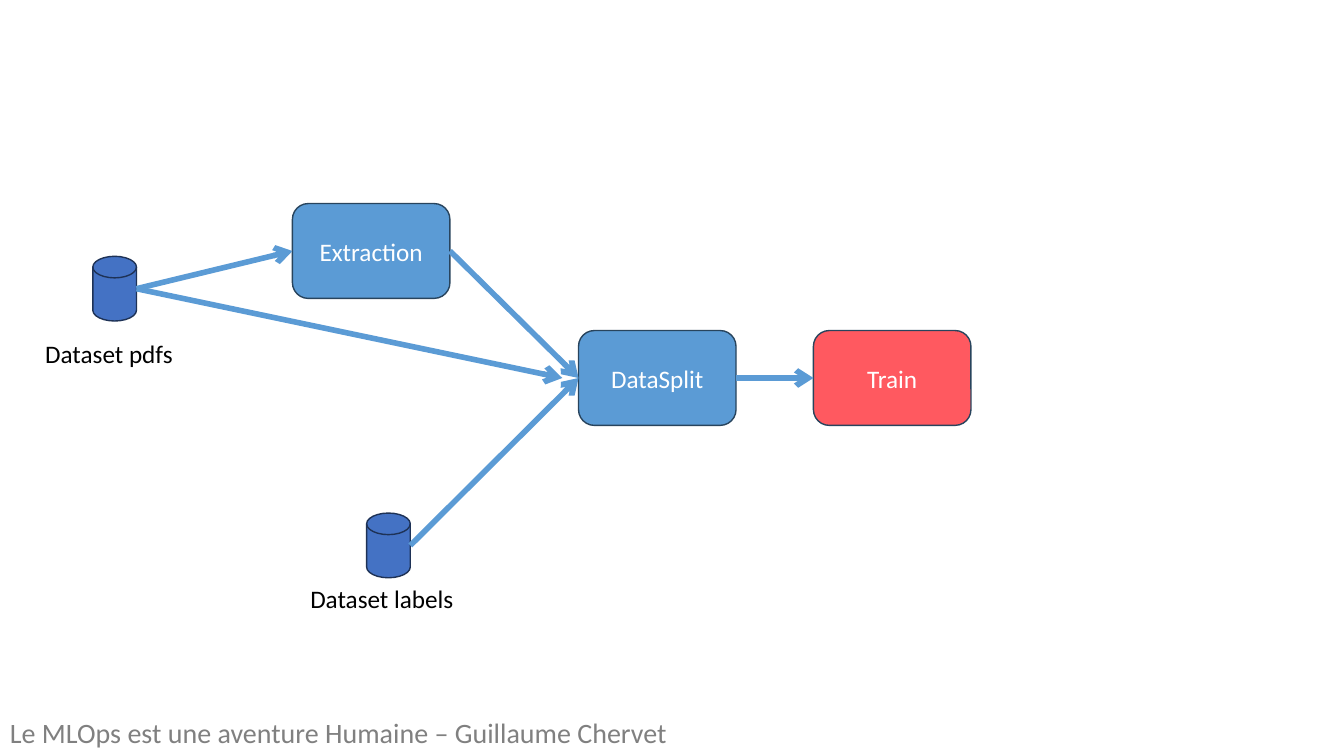
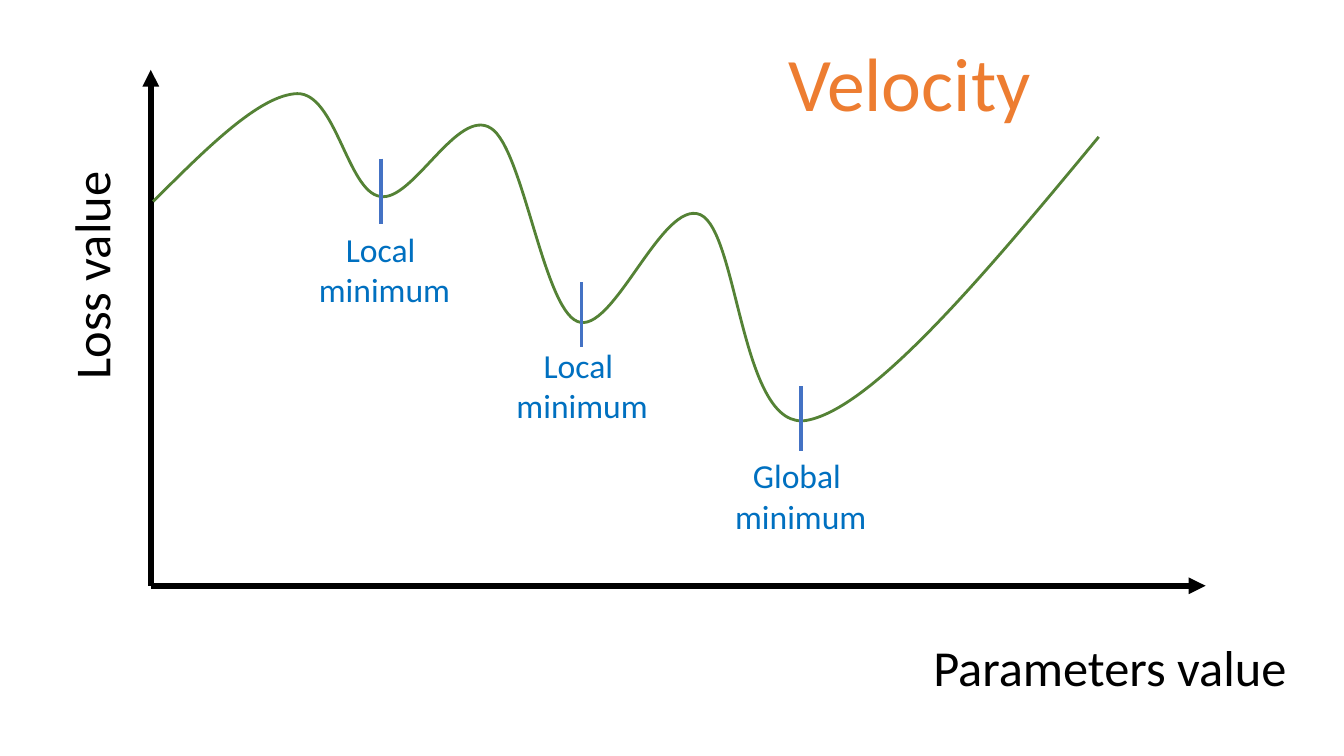
from dataclasses import dataclass

from lxml import etree
from pptx import Presentation
from pptx.dml.color import RGBColor
from pptx.enum.shapes import MSO_CONNECTOR, MSO_SHAPE
from pptx.enum.text import MSO_ANCHOR, MSO_AUTO_SIZE, PP_ALIGN
from pptx.oxml.ns import qn
from pptx.util import Cm, Pt

STRAIGHT = MSO_CONNECTOR.STRAIGHT
DISK = MSO_SHAPE.FLOWCHART_MAGNETIC_DISK
RECT = MSO_SHAPE.RECTANGLE
ROUND_RECT = MSO_SHAPE.ROUNDED_RECTANGLE
MIDDLE = MSO_ANCHOR.MIDDLE
FIT_SHAPE = MSO_AUTO_SIZE.SHAPE_TO_FIT_TEXT
LEFT, CENTER = PP_ALIGN.LEFT, PP_ALIGN.CENTER


@dataclass(frozen=True)
class Theme:
    font: str = "Calibri"
    black: str = "000000"
    white: str = "FFFFFF"
    grey: str = "808080"
    blue: str = "4472C4"
    blue_edge: str = "1E3256"
    step: str = "5B9BD5"
    step_edge: str = "28445D"
    train: str = "FF5960"
    curve: str = "548235"
    minimum: str = "0070C0"
    accent: str = "ED7D31"
    body: int = 18
    footer: int = 20
    note: int = 24
    axis: int = 36
    title: int = 54
    thin: float = 1
    medium: float = 2
    mark: float = 2.5
    thick: float = 4


class Deck:
    """Draw styled elements, measured in centimetres, on the current slide."""

    def __init__(self, theme):
        self.theme = theme
        self.prs = Presentation()
        self.prs.slide_width, self.prs.slide_height = Cm(33.87), Cm(19.05)
        self.slide = None

    def new_slide(self):
        self.slide = self.prs.slides.add_slide(self.prs.slide_layouts[6])

    def set_text(self, sp, text, size, color, align):
        tf = sp.text_frame
        tf.text = text
        for p in tf.paragraphs:
            p.alignment = align
            p.font.name = self.theme.font
            p.font.size = Pt(size)
            p.font.color.rgb = RGBColor.from_string(color)

    def outline(self, line, color, width):
        line.color.rgb = RGBColor.from_string(color)
        line.width = Pt(width)

    def text(self, box, text, size, color, align=LEFT, rotation=0):
        sp = self.slide.shapes.add_textbox(*map(Cm, box))
        self.set_text(sp, text, size, color, align)
        sp.text_frame.word_wrap = False
        sp.text_frame.auto_size = FIT_SHAPE
        sp.rotation = rotation

    def shape(self, kind, box, fill, edge=None):
        sp = self.slide.shapes.add_shape(kind, *map(Cm, box))
        sp.shadow.inherit = False
        sp.fill.solid()
        sp.fill.fore_color.rgb = RGBColor.from_string(fill)
        if edge:
            self.outline(sp.line, edge, self.theme.thin)
        else:
            sp.line.fill.background()
        sp.text_frame.vertical_anchor = MIDDLE
        return sp

    def disk(self, x, y):
        return self.shape(DISK, (x, y, 1.1, 1.63), self.theme.blue, self.theme.blue_edge)

    def step(self, x, y, text, fill):
        sp = self.shape(ROUND_RECT, (x, y, 3.97, 2.39), fill, self.theme.step_edge)
        self.set_text(sp, text, self.theme.body, self.theme.white, CENTER)
        return sp

    def footer(self, text):
        sp = self.shape(RECT, (0, 17.86, 33.87, 1.19), self.theme.white)
        self.set_text(sp, text, self.theme.footer, self.theme.grey, LEFT)

    def line(self, start, end, color, width, head=None):
        c = self.slide.shapes.add_connector(STRAIGHT, *start, *end)
        self.outline(c.line, color, width)
        sp_pr = c._element.spPr
        if head:
            etree.SubElement(sp_pr.find(qn("a:ln")), qn("a:tailEnd"), type=head)
        etree.SubElement(sp_pr, qn("a:effectLst"))
        return c

    def flow(self, source, target, gap=0):
        start = source.left + source.width, source.top + source.height // 2
        end = target.left - Cm(gap), target.top + target.height // 2
        c = self.line(start, end, self.theme.step, self.theme.thick, "arrow")
        if source.auto_shape_type == ROUND_RECT:
            c.begin_connect(source, 3)
        if not gap:
            c.end_connect(target, 1)

    def curve(self, start, segments, color, width):
        builder = self.slide.shapes.build_freeform(Cm(start[0]), Cm(start[1]))
        points = [(Cm(x), Cm(y)) for segment in segments for x, y in segment]
        builder.add_line_segments(points, close=False)
        sp = builder.convert_to_shape()
        sp.shadow.inherit = False
        sp.fill.background()
        self.outline(sp.line, color, width)
        route = sp._element.find(".//" + qn("a:path"))
        steps = route.findall(qn("a:lnTo"))
        for i in range(0, len(steps), 3):
            bezier = etree.SubElement(route, qn("a:cubicBezTo"))
            for step in steps[i:i + 3]:
                bezier.append(step[0])
                route.remove(step)


def pipeline_slide(deck):
    t = deck.theme
    deck.new_slide()
    pdfs = deck.disk(2.34, 6.46)
    labels = deck.disk(9.24, 12.93)
    deck.text((0.89, 8.41, 3.96, 1.03), "Dataset pdfs", t.body, t.black)
    deck.text((7.57, 14.58, 4.39, 1.03), "Dataset labels", t.body, t.black)
    extraction = deck.step(7.37, 5.13, "Extraction", t.step)
    split = deck.step(14.58, 8.33, "DataSplit", t.step)
    train = deck.step(20.5, 8.33, "Train", t.train)
    deck.footer("Le MLOps est une aventure Humaine – Guillaume Chervet")
    for source, target in ((pdfs, extraction), (labels, split), (extraction, split), (split, train)):
        deck.flow(source, target)
    deck.flow(pdfs, split, gap=0.41)


def velocity_slide(deck):
    t = deck.theme
    deck.new_slide()
    origin = Cm(3.8), Cm(14.76)
    for end in ((Cm(3.8), Cm(1.76)), (Cm(30.38), Cm(14.76))):
        deck.line(origin, end, t.black, t.thick, "triangle")
    deck.text((-0.61, 6.02, 5.79, 1.8), "Loss value", t.axis, t.black, rotation=270)
    deck.text((23.27, 15.9, 9.5, 1.8), "Parameters value", t.axis, t.black)
    deck.curve((3.86, 5.08), (
        ((5.21, 3.73), (6.55, 2.39), (7.49, 2.36)),
        ((8.46, 2.34), (8.76, 4.83), (9.58, 4.95)),
        ((10.39, 5.11), (11.53, 2.69), (12.37, 3.23)),
        ((13.18, 3.73), (13.69, 7.75), (14.55, 8.1)),
        ((15.44, 8.48), (16.69, 5), (17.65, 5.41)),
        ((18.62, 5.84), (18.67, 10.92), (20.35, 10.59)),
        ((22.02, 10.26), (24.87, 6.86), (27.69, 3.45)),
    ), t.curve, t.medium)
    for mark_x, mark_y, label_x, label_y, scope in (
        (9.6, 4, 7.77, 5.64, "Local"),
        (14.66, 7.11, 12.75, 8.56, "Local"),
        (20.19, 9.73, 18.26, 11.35, "Global"),
    ):
        deck.line((Cm(mark_x), Cm(mark_y)), (Cm(mark_x), Cm(mark_y + 1.64)), t.blue, t.mark)
        deck.text((label_x, label_y, 3.84, 2.31), f"{scope} \nminimum", t.note, t.minimum, CENTER)
    deck.text((19.61, 0.79, 6.71, 2.57), "Velocity", t.title, t.accent)


def main():
    deck = Deck(Theme())
    pipeline_slide(deck)
    velocity_slide(deck)
    deck.prs.save("out.pptx")


if __name__ == "__main__":
    main()
